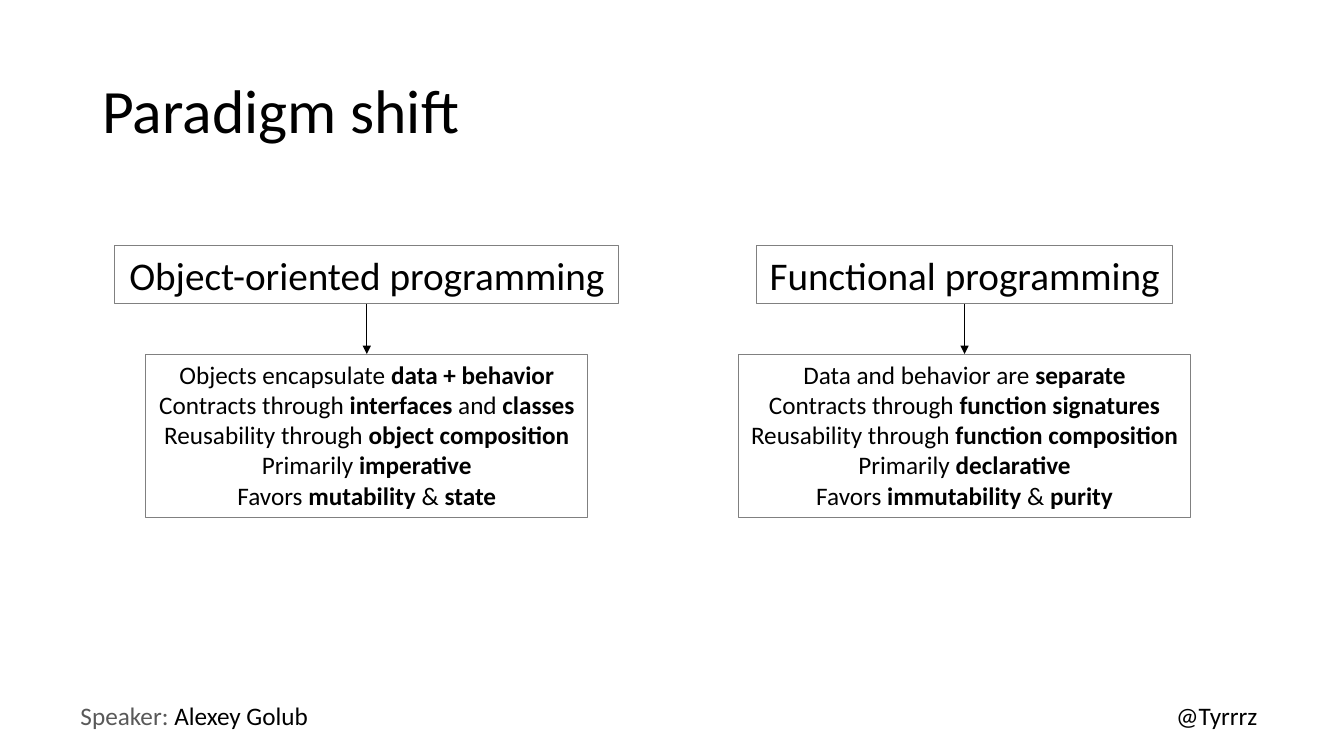
from dataclasses import dataclass

from lxml.etree import SubElement
from pptx import Presentation
from pptx.dml.color import RGBColor as Color
from pptx.enum.shapes import MSO_CONNECTOR as Connector, MSO_SHAPE as Preset
from pptx.enum.text import MSO_ANCHOR as Anchor, PP_ALIGN as Align
from pptx.oxml.ns import qn
from pptx.util import Pt


@dataclass(frozen=True)
class Theme:
    """Colours, font and type sizes of the slide."""
    font: str = "Calibri"
    ink: str = "000000"
    muted: str = "595959"
    border: str = "808080"
    title: int = 44
    heading: int = 28
    body: int = 18


def add_text(paragraph, text, *, font, size, color, bold=False):
    """Add one formatted run to a paragraph."""
    run = paragraph.add_run()
    run.text = text
    run.font.name = font
    run.font.size = Pt(size)
    run.font.color.rgb = Color.from_string(color)
    run.font.bold = bold


class SlideBuilder:
    """Draws themed elements on one slide, with lengths in points."""

    def __init__(self, slide, theme):
        """Keep the slide and its theme."""
        self.slide = slide
        self.theme = theme

    def fill_text(self, frame, lines, size, align=Align.LEFT):
        """Write lines of (text, colour) runs, with text between asterisks in bold."""
        for index, line in enumerate(lines):
            paragraph = frame.paragraphs[0] if index == 0 else frame.add_paragraph()
            paragraph.alignment = align
            for text, color in line:
                for part, piece in enumerate(text.split("*")):
                    if piece:
                        add_text(paragraph, piece, font=self.theme.font, size=size,
                                 color=color, bold=part % 2 == 1)

    def label(self, left, top, width, height, runs, size, anchor=Anchor.TOP, wrap=False):
        """Add a one-line text box and return its paragraph."""
        frame = self.slide.shapes.add_textbox(Pt(left), Pt(top), Pt(width), Pt(height)).text_frame
        frame.word_wrap = wrap
        frame.vertical_anchor = anchor
        self.fill_text(frame, [runs], size)
        return frame.paragraphs[0]

    def box(self, center, top, width, height, lines, size):
        """Add an outlined box with centred text."""
        shape = self.slide.shapes.add_shape(
            Preset.RECTANGLE, Pt(center - width / 2), Pt(top), Pt(width), Pt(height))
        shape.shadow.inherit = False
        shape.fill.background()
        shape.line.color.rgb = Color.from_string(self.theme.border)
        shape.line.width = Pt(0.75)
        frame = shape.text_frame
        frame.word_wrap = False
        frame.vertical_anchor = Anchor.TOP
        self.fill_text(frame, [[(line, self.theme.ink)] for line in lines], size, Align.CENTER)
        return shape

    def arrow(self, upper, lower):
        """Join the bottom of one box to the top of another."""
        connector = self.slide.shapes.add_connector(Connector.STRAIGHT, 0, 0, 0, 0)
        connector.begin_connect(upper, 2)
        connector.end_connect(lower, 0)
        connector.line.color.rgb = Color.from_string(self.theme.ink)
        connector.line.width = Pt(1)
        properties = connector._element.spPr
        SubElement(properties.find(qn("a:ln")), qn("a:tailEnd"), type="triangle")
        SubElement(properties, qn("a:effectLst"))

    def paradigm(self, center, heading, heading_width, traits, traits_width):
        """Add a heading box with an arrow to its box of traits."""
        top, height, gap = 175.7, 41.2, 36
        upper = self.box(center, top, heading_width, height, [heading], self.theme.heading)
        lower = self.box(center, top + height + gap, traits_width, 116.6, traits, self.theme.body)
        self.arrow(upper, lower)


def main():
    """Build and save the slide."""
    presentation = Presentation()
    presentation.slide_width, presentation.slide_height = Pt(960), Pt(540)
    slide = presentation.slides.add_slide(presentation.slide_layouts[6])
    theme = Theme()
    builder = SlideBuilder(slide, theme)

    title = builder.label(66, 28.8, 828, 104.4, [("Paradigm shift", theme.ink)],
                          theme.title, Anchor.MIDDLE, wrap=True)
    title.line_spacing = 0.9
    builder.label(50.4, 496.8, 179.3, 29,
                  [("Speaker:", theme.muted), (" Alexey Golub", theme.ink)], theme.body)
    builder.label(833, 496.8, 73.4, 29, [("@Tyrrrz", theme.ink)], theme.body)

    builder.paradigm(262, "Object-oriented programming", 360, [
        "Objects encapsulate *data + behavior*",
        "Contracts through *interfaces *and *classes*",
        "Reusability through *object composition*",
        "Primarily *imperative*",
        "Favors *mutability* & *state*",
    ], 316)
    builder.paradigm(689, "Functional programming", 297.4, [
        "Data and behavior are *separate*",
        "Contracts through *function signatures*",
        "Reusability through *function composition*",
        "Primarily *declarative*",
        "Favors *immutability* & *purity*",
    ], 323.3)
    presentation.save("out.pptx")


if __name__ == "__main__":
    main()
